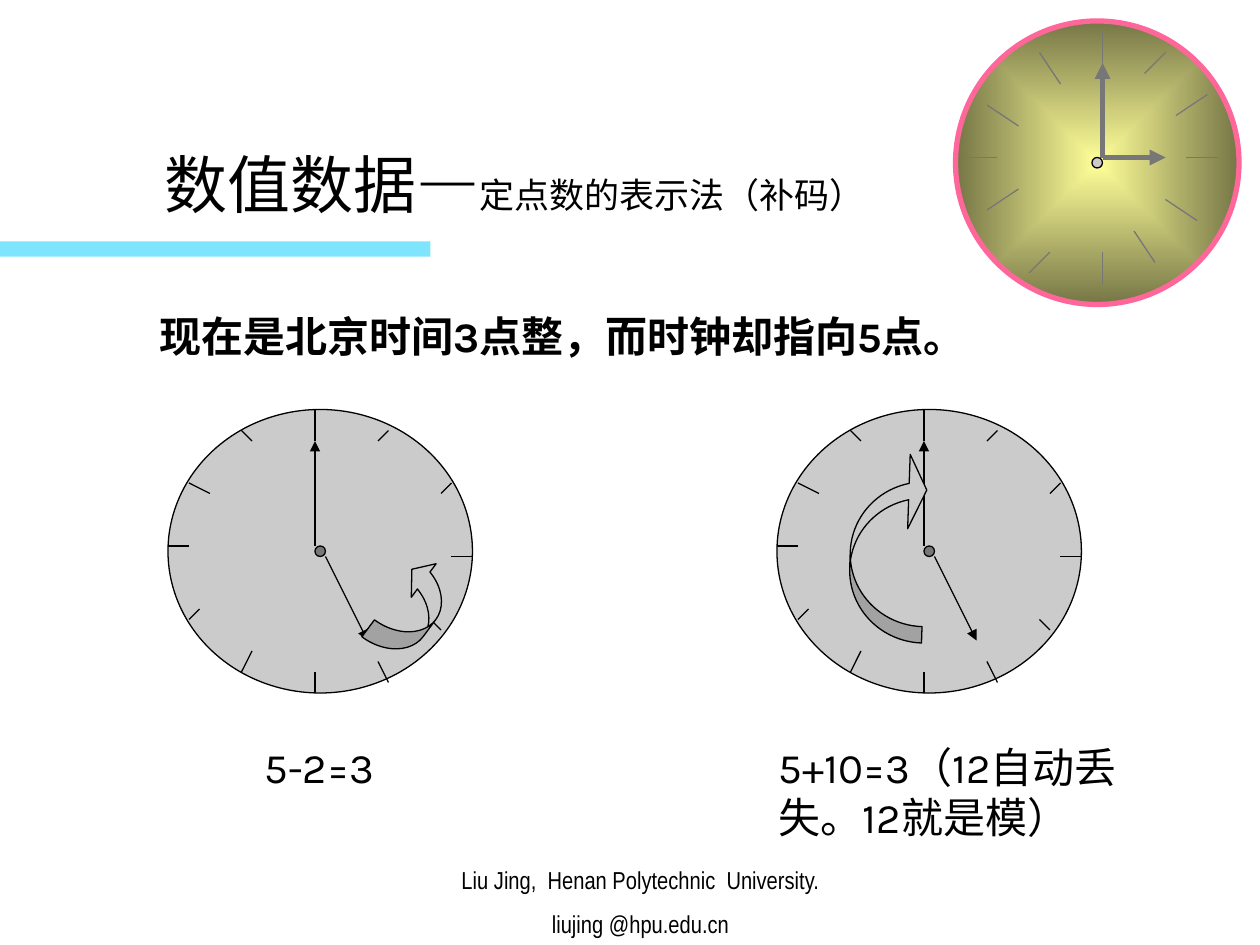
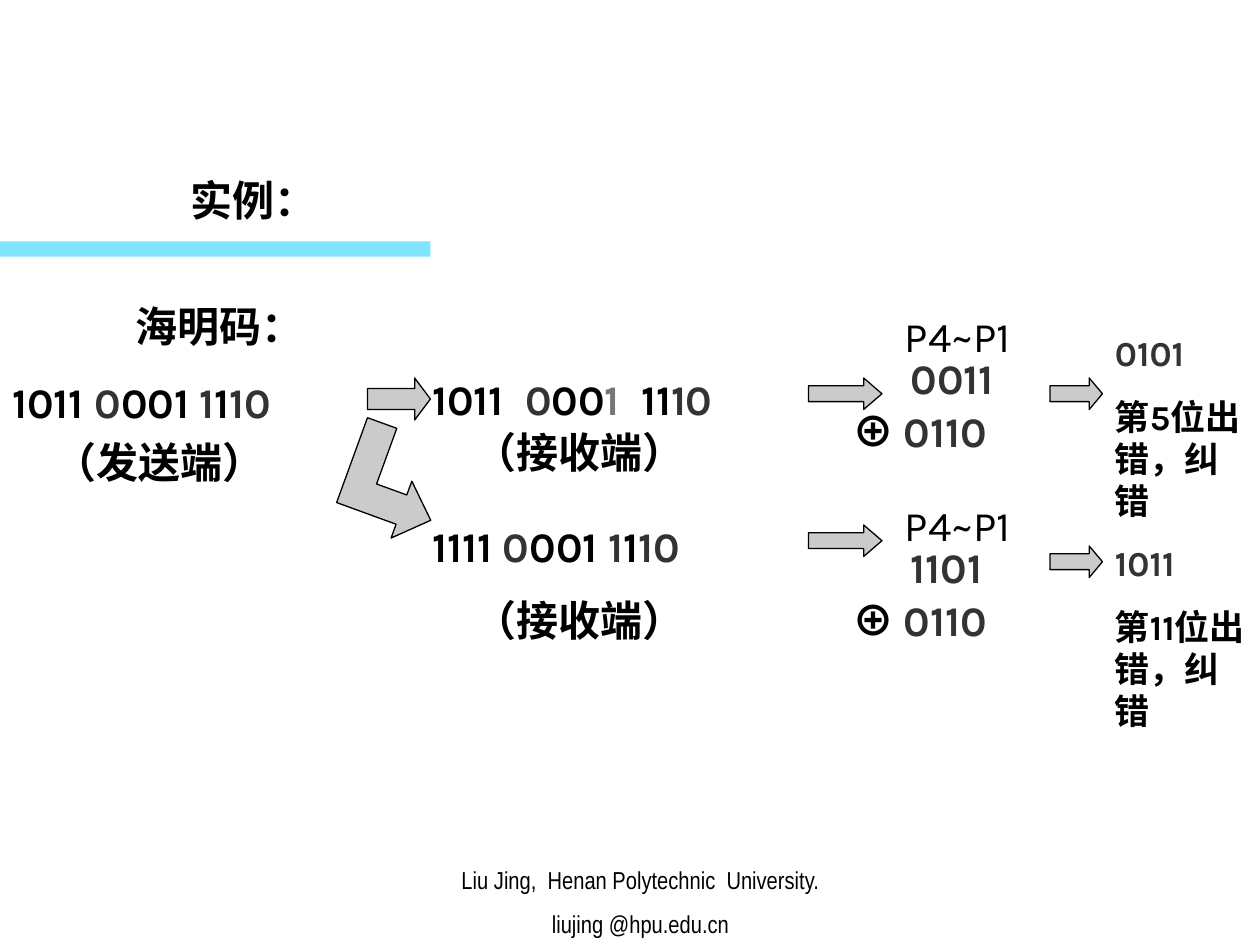
from dataclasses import dataclass
from typing import NamedTuple

from lxml.etree import SubElement
from pptx import Presentation
from pptx.dml.color import RGBColor
from pptx.enum.shapes import MSO_CONNECTOR, MSO_SHAPE
from pptx.enum.text import MSO_ANCHOR, PP_ALIGN
from pptx.oxml.ns import qn
from pptx.util import Inches, Pt

COLORS = {
    "black": "000000", "dark": "333333", "grey": "777777", "light": "CBCBCB",
    "band": "00CCFF", "rim": "FF6699", "glow": "FFFF99", "olive": "767647",
}
BODY, FOOTER, TITLE, CJK = "Karla", "Arial Narrow", "Times New Roman", "Noto Sans CJK SC"


class Span(NamedTuple):
    text: str
    color: str = "black"
    size: float = 24
    bold: bool = False
    face: str = BODY


class Arrow(NamedTuple):
    kind: MSO_SHAPE
    at: tuple
    adjustments: tuple
    rotation: float = 0


@dataclass
class Clock:
    """A dial whose lengths are all counted in twelfths of an inch."""
    left: int
    top: int
    width: int
    height: int
    pin: tuple
    pin_fill: str
    ticks: list
    hands: list
    ink: str = "black"
    hand_width: float = 0.75
    golden: bool = False


@dataclass
class Branch:
    """One received word and the check that follows it."""
    word: list
    word_top: float
    label_top: float
    check_arrow_top: float
    parity_top: float
    received_bits: str
    bits_top: float
    xor_top: float
    result_arrow_top: float
    result: str
    result_top: float
    verdict: str


def rgb(name: str) -> RGBColor:
    return RGBColor.from_string(COLORS[name])


def strong(text: str, color: str = "black", size: float = 24, face: str = BODY) -> Span:
    return Span(text, color, size, True, face)


def snap(value: float) -> Inches:
    """Move a length onto the grid of twelfths when it is within rounding of it."""
    nearest = round(value * 12) / 12
    return Inches(nearest if abs(nearest - value) < 0.006 else value)


# ---- drawing helpers ----
def paint(shape, fill: str, line: str | None = "black", width: float = 0.75):
    shape.shadow.inherit = False
    shape.fill.solid()
    shape.fill.fore_color.rgb = rgb(fill)
    if line:
        shape.line.color.rgb = rgb(line)
        shape.line.width = Pt(width)
    else:
        shape.line.fill.background()
    return shape


def add_text(page, at: tuple, paras: list, space: float = 0, anchor=MSO_ANCHOR.TOP,
             align=PP_ALIGN.LEFT, first_indent: float = 0) -> None:
    frame = page.shapes.add_textbox(*map(snap, at)).text_frame
    frame.word_wrap = True
    frame.vertical_anchor = anchor
    for index, spans in enumerate(paras):
        para = frame.paragraphs[0] if index == 0 else frame.add_paragraph()
        para.alignment = align
        if index:
            para.space_before = Pt(space)
        elif first_indent:
            para._p.get_or_add_pPr().set("marL", str(Inches(first_indent)))
        for span in spans:
            run = para.add_run()
            run.text = span.text
            formats = {"size": Pt(span.size), "bold": span.bold, "name": span.face}
            for key, value in formats.items():
                setattr(run.font, key, value)
            run.font.color.rgb = rgb(span.color)
            SubElement(run._r.get_or_add_rPr(), qn("a:ea")).set("typeface", CJK)


def add_line(shapes, ends: tuple, color: str, width: float, arrow: bool = False) -> None:
    line = shapes.add_connector(MSO_CONNECTOR.STRAIGHT, *ends)
    line.line.color.rgb = rgb(color)
    line.line.width = Pt(width)
    if arrow:
        SubElement(line.line._get_or_add_ln(), qn("a:tailEnd")).set("type", "triangle")
    SubElement(line._element.spPr, qn("a:effectLst"))


def add_arrow(page, arrow: Arrow) -> None:
    shape = paint(page.shapes.add_shape(arrow.kind, *map(snap, arrow.at)), "light")
    shape.rotation = arrow.rotation
    for index, value in enumerate(arrow.adjustments):
        shape.adjustments[index] = value


def add_glow(shape) -> None:
    shape.fill.gradient()
    for stop, position, color in zip(shape.fill.gradient_stops, (0, 1), ("glow", "olive")):
        stop.position = position
        stop.color.rgb = rgb(color)
    gradient = shape._element.spPr.find(qn("a:gradFill"))
    gradient.remove(gradient.find(qn("a:lin")))
    route = SubElement(gradient, qn("a:path"), {"path": "rect"})
    SubElement(route, qn("a:fillToRect"), {side: "50000" for side in "ltrb"})


def add_clock(page, clock: Clock) -> None:
    def place(x: int, y: int) -> tuple:
        return Inches((clock.left + x) / 12), Inches((clock.top + y) / 12)

    shapes = page.shapes.add_group_shape().shapes
    face = shapes.add_shape(MSO_SHAPE.OVAL, *place(0, 0),
                            Inches(clock.width / 12), Inches(clock.height / 12))
    if clock.golden:
        paint(face, "glow", "rim", 3)
        add_glow(face)
    else:
        paint(face, "light")
    for x1, y1, x2, y2 in clock.ticks:
        add_line(shapes, place(x1, y1) + place(x2, y2), clock.ink, 0.75)
    for x1, y1, x2, y2 in clock.hands:
        add_line(shapes, place(x1, y1) + place(x2, y2), clock.ink, clock.hand_width, True)
    kind = MSO_SHAPE.FLOWCHART_CONNECTOR if clock.golden else MSO_SHAPE.OVAL
    pin = shapes.add_shape(kind, *place(*clock.pin), Inches(1 / 12), Inches(1 / 12))
    paint(pin, clock.pin_fill)


def new_page(deck):
    """Blank page with the band and the footer."""
    page = deck.slides.add_slide(deck.slide_layouts[6])
    box = page.shapes.add_shape(MSO_SHAPE.RECTANGLE, *map(snap, (0, 1.92, 3.42, 0.12)))
    paint(box, "band", None)
    color = box._element.spPr.find(qn("a:solidFill"))[0]
    SubElement(color, qn("a:alpha")).set("val", "50000")
    footer = ("Liu Jing,  Henan Polytechnic  University.", "liujing @hpu.edu.cn")
    add_text(page, (3, 6.75, 4.17, 0.75), [[Span(line, size=14, face=FOOTER)] for line in footer],
             8.8, MSO_ANCHOR.BOTTOM, PP_ALIGN.CENTER)
    return page


# ---- clocks ----
GREY_TICKS = [
    (14, 0, 14, 3), (14, 25, 14, 27), (0, 13, 2, 13), (29, 14, 27, 14),
    (21, 2, 20, 3), (27, 7, 26, 8), (7, 2, 8, 3), (2, 7, 4, 8),
    (2, 20, 3, 19), (7, 25, 8, 23), (25, 20, 26, 21), (20, 24, 21, 26),
]
GOLD_TICKS = [
    (14, 1, 14, 4), (14, 22, 14, 25), (1, 13, 4, 13), (22, 13, 25, 13),
    (8, 3, 10, 6), (17, 20, 19, 23), (3, 8, 6, 10), (20, 17, 23, 19),
    (20, 3, 18, 5), (9, 22, 7, 24), (3, 18, 6, 16), (21, 9, 24, 7),
]
GREY_HANDS = [(14, 13, 14, 3), (15, 14, 19, 22)]
GREY_CLOCKS = [Clock(left, 39, 29, 27, (14, 13), "grey", GREY_TICKS, GREY_HANDS)
               for left in (16, 74)]
GOLD_CLOCK = Clock(91, 2, 27, 27, (13, 13), "light", GOLD_TICKS,
                   [(14, 13, 20, 13), (14, 13, 14, 4)], "grey", 3, True)

# ---- arrows ----
TURNS = [
    Arrow(MSO_SHAPE.CURVED_UP_ARROW, (2.86, 4.64, 0.83, 0.39), (0.43, 0.85, 0.33), 306.5),
    Arrow(MSO_SHAPE.CURVED_LEFT_ARROW, (6.75, 3.58, 0.59, 1.51), (0.22, 1, 0.24), 182),
]
SENDER_ARROWS = [
    Arrow(MSO_SHAPE.RIGHT_ARROW, (2.92, 3, 0.5, 0.33), (0.5, 0.375)),
    Arrow(MSO_SHAPE.BENT_UP_ARROW, (2.71, 3.46, 0.83, 0.75), (0.33, 0.32, 0.33), 110),
]

# ---- Hamming words ----
WORD_END = [strong("0", "dark"), strong("001 "), strong("1", "dark"),
            strong("1"), strong("10", "dark")]
BRANCHES = [
    Branch([strong("1011  "), strong("0", "dark"), strong("00"), strong("1", "grey"),
            strong("  11"), strong("10", "dark")],
           2.92, 3.33, 3, 2.42, "0011", 2.75, 3.17, 3, "0101", 2.58, "第5位出错，纠错"),
    Branch([strong("1111 ")] + WORD_END,
           4.08, 4.67, 4.17, 3.92, "1101", 4.25, 4.67, 4.33, "1011", 4.25, "第11位出错，纠错"),
]


def build_clock_page(deck) -> None:
    page = new_page(deck)
    title = [Span("数值数据", size=36, face=TITLE), strong("—", size=36, face=TITLE),
             Span("定点数的表示法（补码）", size=20, face=TITLE)]
    add_text(page, (0.58, 1, 7, 0.92), [title], anchor=MSO_ANCHOR.MIDDLE, align=PP_ALIGN.CENTER)
    for clock in GREY_CLOCKS:
        add_clock(page, clock)
    for arrow in TURNS:
        add_arrow(page, arrow)
    add_text(page, (1.17, 2.42, 7.5, 0.5), [[strong("现在是北京时间3点整，而时钟却指向5点。")]])
    add_text(page, (2, 5.83, 1.25, 0.5), [[Span("5-2=3")]])
    add_text(page, (6.08, 5.83, 3.17, 0.9), [[Span("5+10=3（12自动丢失。12就是模）")]])
    add_clock(page, GOLD_CLOCK)


def build_hamming_page(deck) -> None:
    page = new_page(deck)
    # Sender
    add_text(page, (0, 2.33, 3.25, 1.11), [[strong("海明码：")], [strong("1011 ")] + WORD_END],
             15, first_indent=0.98)
    add_text(page, (1.42, 1.33, 1.67, 0.5), [[strong("实例：")]])
    add_text(page, (0.33, 3.42, 2, 0.5), [[strong("（发送端）")]])
    for arrow in SENDER_ARROWS:
        add_arrow(page, arrow)
    # Receivers and their checks
    for branch in BRANCHES:
        add_text(page, (3.33, branch.word_top, 3.17, 0.5), [branch.word])
        add_text(page, (3.67, branch.label_top, 2, 0.5), [[strong("（接收端）")]])
        for at, head in (((6.42, branch.check_arrow_top, 0.58, 0.25), 0.58),
                         ((8.33, branch.result_arrow_top, 0.42, 0.25), 0.42)):
            add_arrow(page, Arrow(MSO_SHAPE.RIGHT_ARROW, at, (0.5, head)))
        add_text(page, (7.08, branch.parity_top, 1.75, 0.5), [[Span("P4~P1")]])
        add_text(page, (8.75, branch.result_top, 1.25, 1.61),
                 [[strong(branch.result, "dark", 20)], [strong(branch.verdict, size=20)]], 12.5)
        add_text(page, (7.13, branch.bits_top, 0.96, 0.5), [[strong(branch.received_bits, "dark")]])
        add_text(page, (6.67, branch.xor_top, 1.92, 0.5),
                 [[strong("⊕ ", face=CJK), strong("0110", "dark")]])


def main() -> None:
    deck = Presentation()
    deck.slide_width, deck.slide_height = Inches(10), Inches(7.5)
    build_clock_page(deck)
    build_hamming_page(deck)
    deck.save("out.pptx")


if __name__ == "__main__":
    main()
